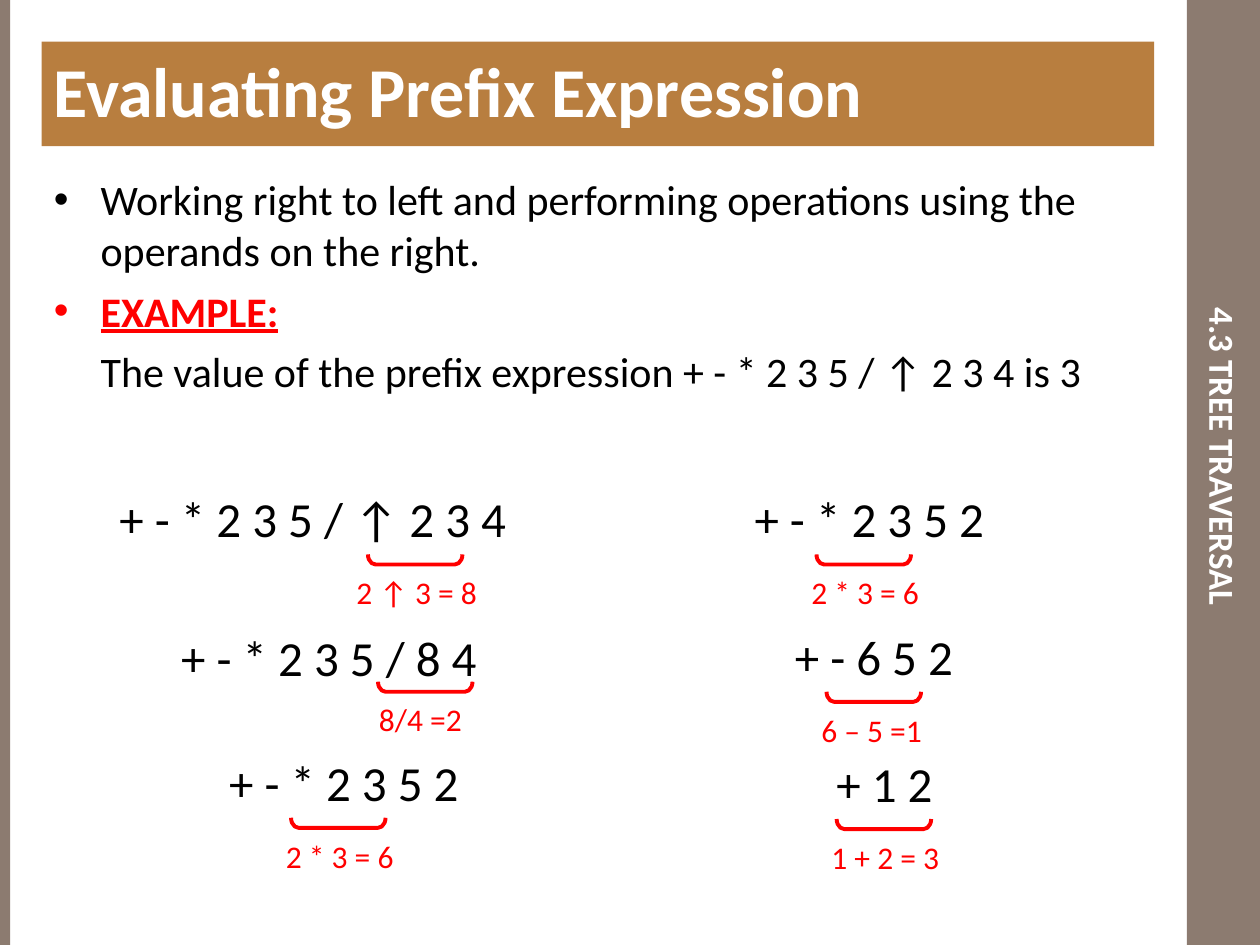
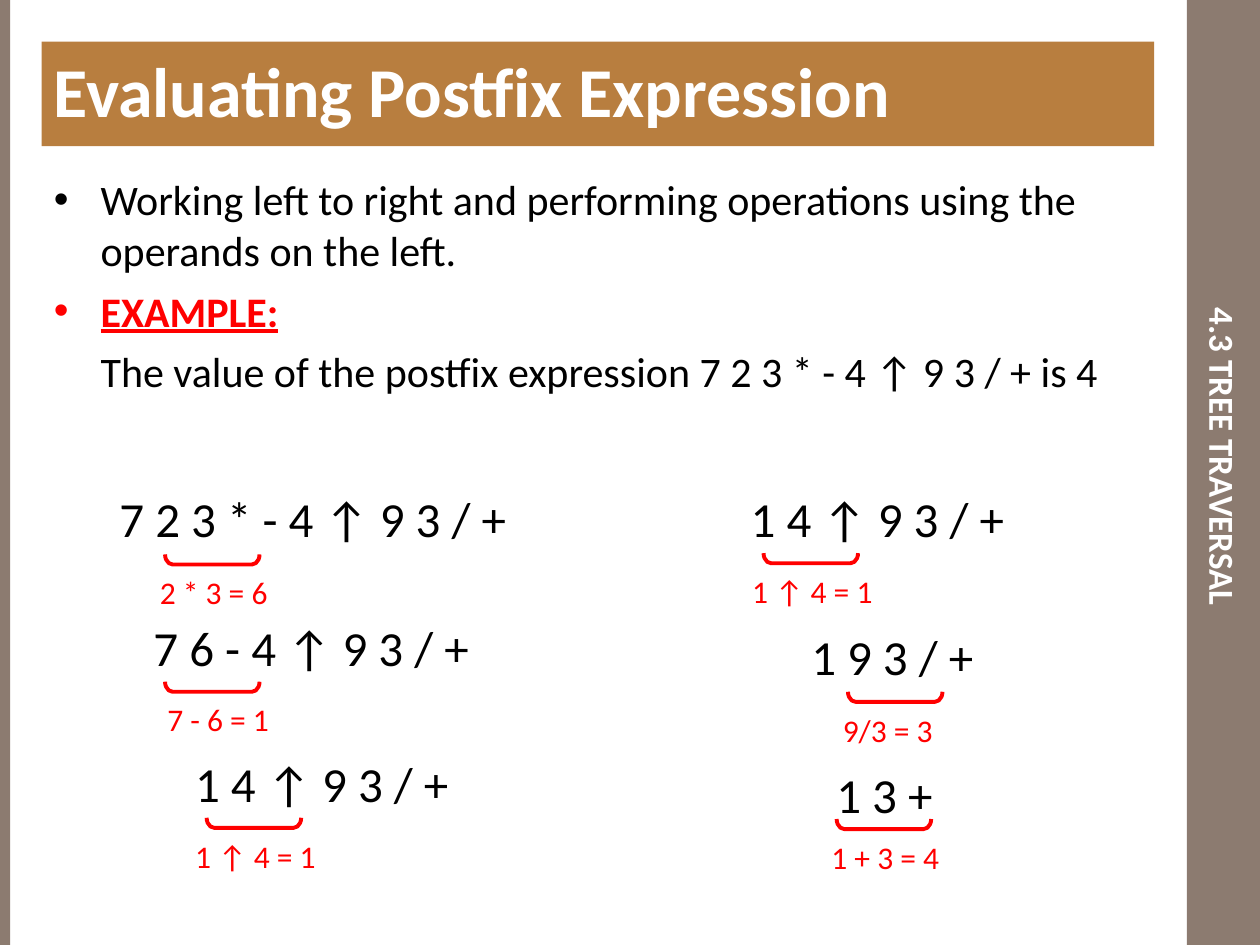
from dataclasses import dataclass

from lxml import etree
from pptx import Presentation
from pptx.dml.color import RGBColor
from pptx.enum.shapes import MSO_SHAPE as Shape
from pptx.enum.text import MSO_ANCHOR as Anchor, PP_ALIGN as Align
from pptx.oxml.ns import qn
from pptx.util import Inches, Pt


@dataclass(frozen=True)
class Theme:
    font: str = "Calibri"
    rail: str = "8C7B70"
    banner: str = "B87E3F"
    text: str = "000000"
    accent: str = "FF0000"
    light: str = "FFFFFF"
    title_size: int = 40
    expression_size: int = 28
    body_size: int = 24
    rail_size: int = 20
    result_size: int = 18


theme = Theme()

EXPRESSION_HEIGHT, RESULT_HEIGHT = 0.57, 0.4
LABEL_SLACK = 0.1  # spare width that keeps each label on one line
BRACKET_DEPTH, BRACKET_SPAN = 0.08, 0.75
BRACKET_GAP = 0.1  # from the top of a bracket to the top of its result
BODY_INDENT = 0.37

# Each step: expression, (left, top, width), result, (left, top, width), bracket left
lessons = [
    (
        "Evaluating Prefix Expression",
        "Working right to left and performing operations using the operands on the right.",
        "The value of the prefix expression + - * 2 3 5 / ↑ 2 3 4 is 3",
        [
            ("+ - * 2 3 5 / ↑ 2 3 4", (0.85, 3.83, 3.26), "2 ↑ 3 = 8", (2.73, 4.5, 1.15), 2.92),
            ("+ - * 2 3 5 / 8 4", (1.34, 4.93, 2.54), "8/4 =2", (2.91, 5.51, 0.86), 3.0),
            ("+ - * 2 3 5 2", (1.72, 5.92, 2.02), "2 * 3 = 6", (2.17, 6.59, 1.05), 2.31),
            ("+ - * 2 3 5 2", (5.89, 3.83, 2.02), "2 * 3 = 6", (6.34, 4.5, 1.05), 6.48),
            ("+ - 6 5 2", (6.21, 4.92, 1.45), "6 – 5 =1", (6.42, 5.59, 1.0), 6.56),
            ("+ 1 2", (6.54, 5.93, 0.96), "1 + 2 = 3", (6.5, 6.6, 1.05), 6.64),
        ],
    ),
    (
        "Evaluating Postfix Expression",
        "Working left to right and performing operations using the operands on the left.",
        "The value of the postfix expression 7 2 3 * - 4 ↑ 9 3 / + is 4",
        [
            ("7 2 3 * - 4 ↑ 9 3 / +", (0.85, 3.83, 3.26), "2 * 3 = 6", (1.17, 4.5, 1.05), 1.31),
            ("7 6 - 4 ↑ 9 3 / +", (1.12, 4.85, 2.7), "7 - 6 = 1", (1.23, 5.51, 1.0), 1.31),
            ("1 4 ↑ 9 3 / +", (1.45, 5.93, 2.21), "1 ↑ 4 = 1", (1.45, 6.59, 1.15), 1.64),
            ("1 4 ↑ 9 3 / +", (5.86, 3.83, 2.21), "1 ↑ 4 = 1", (5.87, 4.49, 1.15), 6.06),
            ("1 9 3 / +", (6.34, 4.92, 1.48), "9/3 = 3", (6.59, 5.59, 0.91), 6.73),
            ("1 3 +", (6.54, 6.02, 0.96), "1 + 3 = 4", (6.5, 6.6, 1.05), 6.64),
        ],
    ),
]


def add_block(slide, left, top, width, height, fill=None):
    """Add a filled rectangle, or a wrapping text box when no fill is given."""
    box = [Inches(value) for value in (left, top, width, height)]
    if fill is None:
        shape = slide.shapes.add_textbox(*box)
        shape.text_frame.word_wrap = True
        return shape
    shape = slide.shapes.add_shape(Shape.RECTANGLE, *box)
    shape.shadow.inherit = False
    shape.fill.solid()
    shape.fill.fore_color.rgb = RGBColor.from_string(fill)
    shape.line.fill.background()
    return shape


def write(paragraph, text, size, color, bold=False):
    """Put text in a paragraph and set its font."""
    paragraph.text = text
    font = paragraph.font
    font.name, font.size, font.bold = theme.font, Pt(size), bold
    font.color.rgb = RGBColor.from_string(color)


presentation = Presentation()
presentation.slide_width, presentation.slide_height = Inches(10), Inches(7.5)
blank_layout = presentation.slide_layouts[6]

for title, method, example, steps in lessons:
    slide = presentation.slides.add_slide(blank_layout)

    # Side rails
    add_block(slide, 9.42, 0, 0.58, 7.5, theme.rail)
    add_block(slide, 0, 0, 0.08, 7.5, theme.rail)

    # Vertical section name, brought to mid-height by its top margin
    frame = add_block(slide, 9.42, 0.42, 0.58, 6.42).text_frame
    frame.vertical_anchor = Anchor.MIDDLE
    frame.margin_left = frame.margin_right = Inches(0.05)
    frame.margin_top, frame.margin_bottom = Inches(2.02), Inches(0.1)
    frame._txBody.bodyPr.set("vert", "eaVert")
    write(frame.paragraphs[0], "4.3 TREE TRAVERSAL", theme.rail_size, theme.light, bold=True)

    # Body text
    frame = add_block(slide, 0.33, 1.33, 8.83, 2).text_frame
    body_lines = [(method, theme.text, True), ("EXAMPLE:", theme.accent, True),
                  (example, theme.text, False)]
    for index, (text, color, bulleted) in enumerate(body_lines):
        paragraph = frame.add_paragraph() if index else frame.paragraphs[0]
        if index:
            paragraph.space_before = Pt(6)
        properties = paragraph._p.get_or_add_pPr()
        properties.set("marL", str(Inches(BODY_INDENT)))
        if bulleted:
            properties.set("indent", str(-Inches(BODY_INDENT)))
            bullet_color = etree.SubElement(properties, qn("a:buClr"))
            etree.SubElement(bullet_color, qn("a:srgbClr"), val=color)
            etree.SubElement(properties, qn("a:buFont"), typeface="Arial")
            etree.SubElement(properties, qn("a:buChar"), char="•")
        is_heading = color == theme.accent
        write(paragraph, text, theme.body_size, color, bold=is_heading)
        paragraph.font.underline = is_heading

    # Title banner
    frame = add_block(slide, 0.33, 0.33, 8.83, 0.83, theme.banner).text_frame
    frame.word_wrap = True
    frame.vertical_anchor = Anchor.TOP
    frame.paragraphs[0].alignment = Align.LEFT
    write(frame.paragraphs[0], title, theme.title_size, theme.light, bold=True)

    # Evaluation steps
    for expression, expression_place, result, result_place, bracket_left in steps:
        labels = [
            (expression, expression_place, EXPRESSION_HEIGHT, theme.expression_size, theme.text),
            (result, result_place, RESULT_HEIGHT, theme.result_size, theme.accent),
        ]
        for text, (left, top, width), height, size, color in labels:
            label = add_block(slide, left, top, width + LABEL_SLACK, height)
            write(label.text_frame.paragraphs[0], text, size, color)

        # A left bracket turned to open upwards, rotated about its centre
        turn_offset = (BRACKET_SPAN - BRACKET_DEPTH) / 2
        bracket_top = result_place[1] - BRACKET_GAP
        bracket = slide.shapes.add_shape(
            Shape.LEFT_BRACKET, Inches(bracket_left + turn_offset),
            Inches(bracket_top - turn_offset), Inches(BRACKET_DEPTH), Inches(BRACKET_SPAN))
        bracket.rotation = 270
        bracket.adjustments[0] = 0.75
        bracket.shadow.inherit = False
        bracket.fill.background()
        bracket.line.color.rgb = RGBColor.from_string(theme.accent)
        bracket.line.width = Pt(2.25)

presentation.save("out.pptx")
